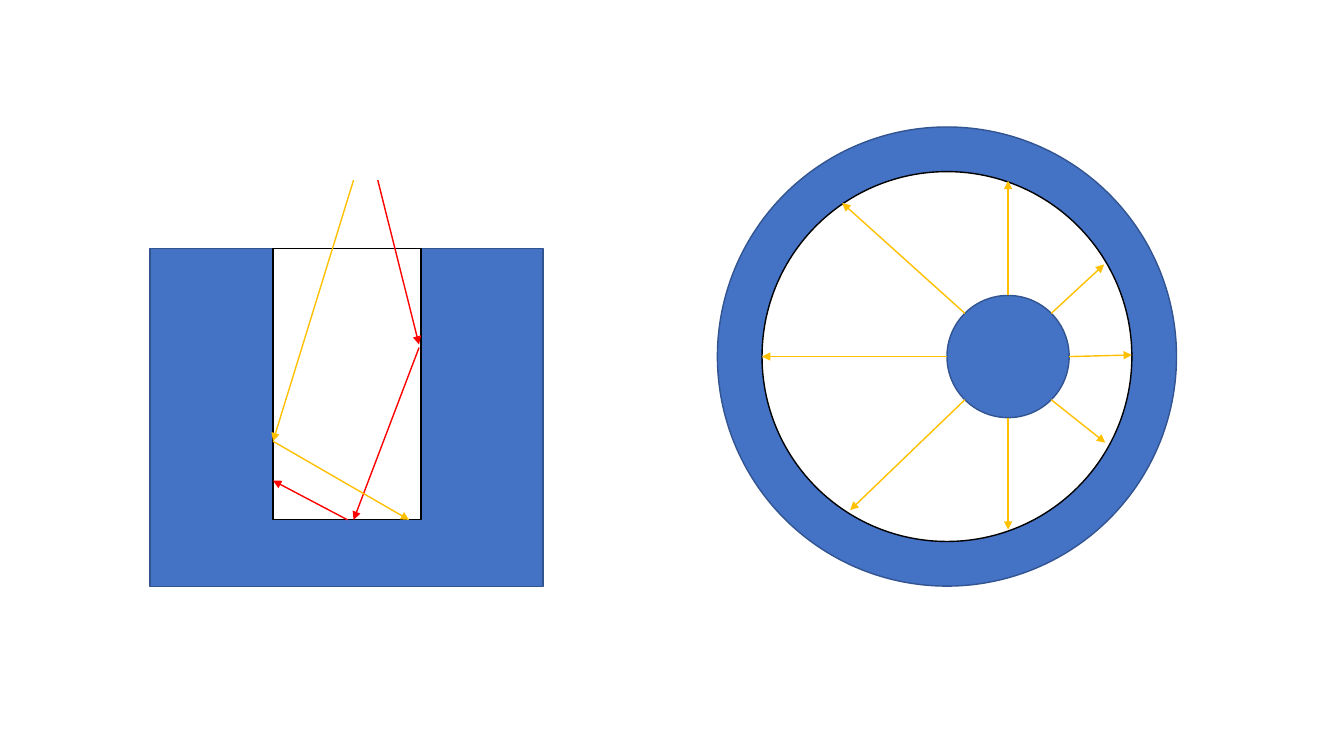
from math import cos, radians, sin

from lxml import etree
from pptx import Presentation
from pptx.dml.color import RGBColor
from pptx.enum.shapes import MSO_CONNECTOR, MSO_SHAPE
from pptx.oxml.ns import qn
from pptx.util import Cm, Pt

RECTANGLE = MSO_SHAPE.RECTANGLE
OVAL = MSO_SHAPE.OVAL
STRAIGHT = MSO_CONNECTOR.STRAIGHT

BLUE = "4472C4"
DARK_BLUE = "325491"
WHITE = "FFFFFF"
BLACK = "000000"
YELLOW = "FFC000"
RED = "FF0000"


def color(hex_string):
    return RGBColor.from_string(hex_string)


def add_body(slide, kind, left, top, width, height, fill, outline):
    shape = slide.shapes.add_shape(kind, Cm(left), Cm(top), Cm(width), Cm(height))
    shape.shadow.inherit = False
    shape.fill.solid()
    shape.fill.fore_color.rgb = color(fill)
    shape.line.color.rgb = color(outline)
    shape.line.width = Pt(1)


def add_circle(slide, center_x, center_y, radius, fill, outline):
    add_body(slide, OVAL, center_x - radius, center_y - radius,
             2 * radius, 2 * radius, fill, outline)


def add_ray(slide, start, end, hex_string):
    ray = slide.shapes.add_connector(STRAIGHT, *(Cm(value) for value in (*start, *end)))
    ray.line.color.rgb = color(hex_string)
    ray.line.width = Pt(1)
    etree.SubElement(ray.line._get_or_add_ln(), qn("a:tailEnd"), type="triangle")
    etree.SubElement(ray._element.spPr, qn("a:effectLst"))


def add_cavity(slide, left, top, width, height):
    """Block with an open hole; rays enter from above and bounce off the walls."""
    hole_left, hole_width, hole_depth = 3.1, 3.73, 6.83
    add_body(slide, RECTANGLE, left, top, width, height, BLUE, DARK_BLUE)
    add_body(slide, RECTANGLE, left + hole_left, top, hole_width, hole_depth, WHITE, BLACK)

    rays = [
        ((5.13, -1.73), (hole_left, 4.85), YELLOW),
        ((5.74, -1.73), (6.78, 2.41), RED),
        ((6.78, 2.49), (5.13, hole_depth), RED),
        ((4.98, hole_depth), (hole_left, 5.84), RED),
        ((hole_left, 4.85), (6.53, hole_depth), YELLOW),
    ]
    for (start_x, start_y), (end_x, end_y), hex_string in rays:
        add_ray(slide, (left + start_x, top + start_y),
                (left + end_x, top + end_y), hex_string)


def add_ring(slide, left, top, size):
    """Ring with an off-centre core that radiates every 45 degrees."""
    center_x, center_y = left + size / 2, top + size / 2
    inner_radius, core_radius = 4.66, 1.54
    core_x = center_x + core_radius
    add_circle(slide, center_x, center_y, size / 2, BLUE, DARK_BLUE)
    add_circle(slide, center_x, center_y, inner_radius, WHITE, BLACK)
    add_circle(slide, core_x, center_y, core_radius, BLUE, DARK_BLUE)

    # Ray ends measured from the ring centre, clockwise from the right
    ray_ends = [
        (inner_radius, -0.04), (3.99, 2.17), (core_radius, 4.36), (-2.44, 3.87),
        (-inner_radius, 0), (-2.64, -3.87), (core_radius, -4.43), (3.96, -2.32),
    ]
    for index, (end_x, end_y) in enumerate(ray_ends):
        angle = radians(45 * index)
        start = (core_x + core_radius * cos(angle), center_y + core_radius * sin(angle))
        add_ray(slide, start, (center_x + end_x, center_y + end_y), YELLOW)


def main():
    presentation = Presentation()
    presentation.slide_width = Cm(33.87)
    presentation.slide_height = Cm(19.05)
    slide = presentation.slides.add_slide(presentation.slide_layouts[6])
    add_cavity(slide, 3.78, 6.27, 9.91, 8.51)
    add_ring(slide, 18.08, 3.2, 11.57)
    presentation.save("out.pptx")


if __name__ == "__main__":
    main()
